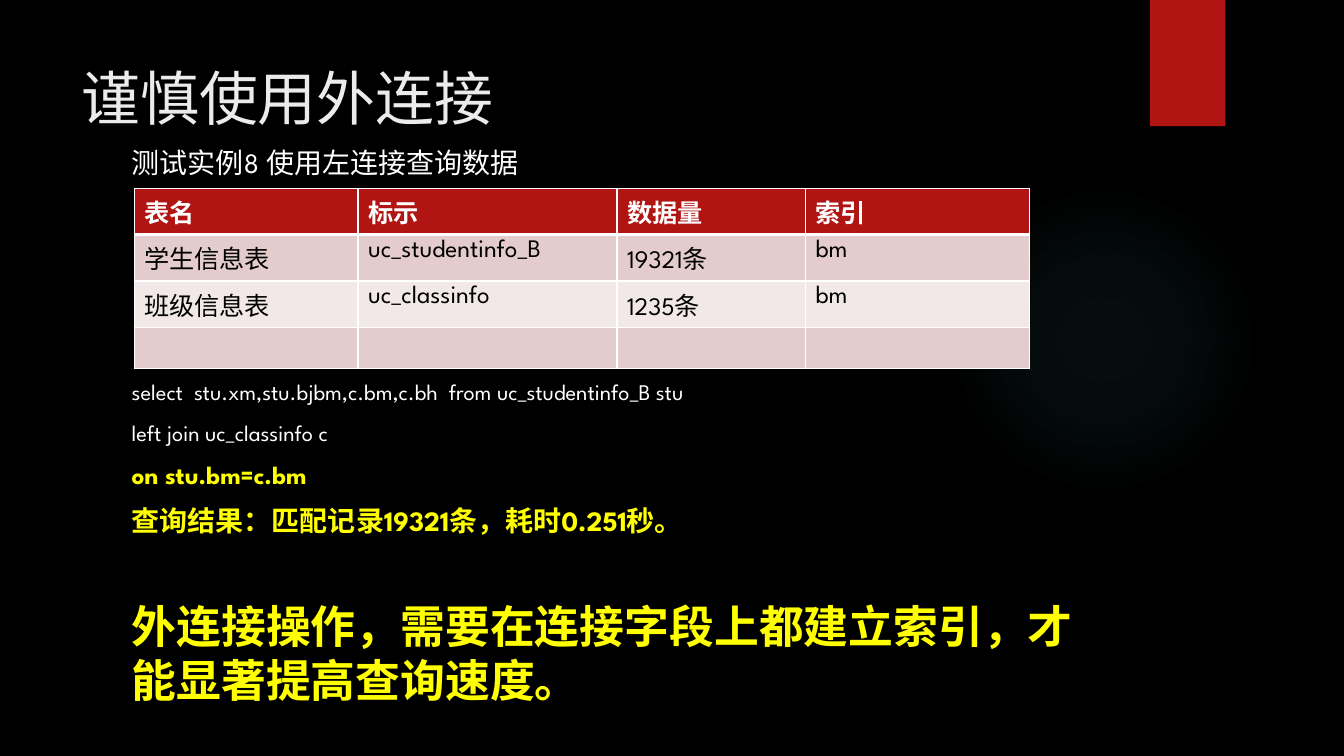
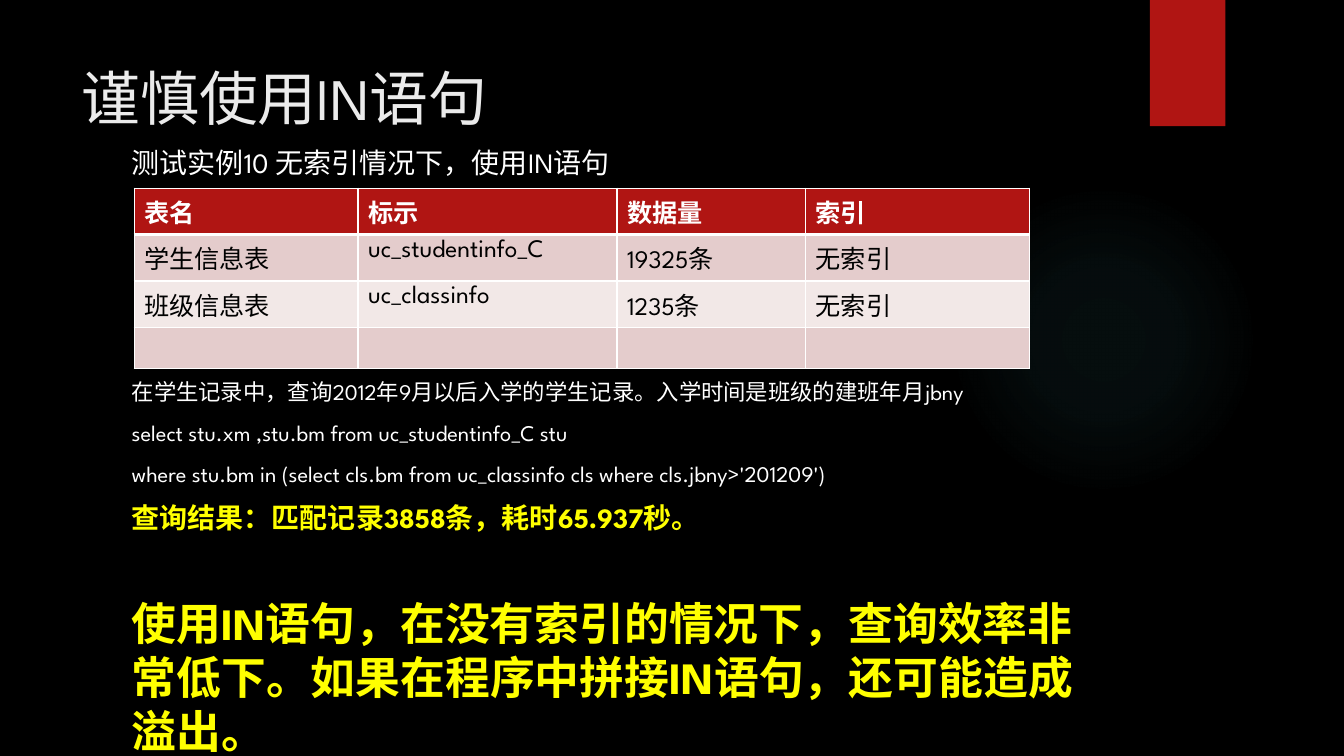
import pptx
import pptx.dml.color
import pptx.enum.shapes
import pptx.enum.text
import pptx.oxml
import pptx.oxml.ns
import pptx.util

Cm = pptx.util.Cm
Pt = pptx.util.Pt
FONT = "League Spartan"
BLACK, WHITE, RED, YELLOW = "000000", "FFFFFF", "B01513", "FFFF00"
TITLE, GLOW = "EBEBEB", "50B9C1"
BANDS = ["E4CCCC", "F2E8E7"]
COLUMNS = [5.64, 6.53, 4.75, 5.64]
ROWS = [1.17, 1.17, 1.17, 1.04]
HEADER = ["表名", "标示", "数据量", "索引"]
CODE = {"size": 16, "color": WHITE}
CONDITION = {"size": 18, "color": YELLOW, "bold": True}
RESULT = {"size": 20, "color": YELLOW, "bold": True}
CONCLUSION = {"size": 32, "color": YELLOW, "bold": True, "before": 44}

SLIDES = [
    {
        "title": "谨慎使用外连接",
        "caption": "测试实例8 使用左连接查询数据",
        "rows": [
            ["学生信息表", "uc_studentinfo_B", "19321条", "bm"],
            ["班级信息表", "uc_classinfo", "1235条", "bm"],
        ],
        "lines": [
            ("select  stu.xm,stu.bjbm,c.bm,c.bh  from uc_studentinfo_B stu", CODE),
            ("left join uc_classinfo c", CODE),
            ("on stu.bm=c.bm", CONDITION),
            ("查询结果：匹配记录19321条，耗时0.251秒。", RESULT),
            ("外连接操作，需要在连接字段上都建立索引，才能显著提高查询速度。", CONCLUSION),
        ],
    },
    {
        "title": "谨慎使用IN语句",
        "caption": "测试实例10 无索引情况下，使用IN语句",
        "rows": [
            ["学生信息表", "uc_studentinfo_C", "19325条", "无索引"],
            ["班级信息表", "uc_classinfo", "1235条", "无索引"],
        ],
        "lines": [
            ("在学生记录中，查询2012年9月以后入学的学生记录。入学时间是班级的建班年月jbny", CODE),
            ("select stu.xm ,stu.bm from uc_studentinfo_C stu", CODE),
            ("where stu.bm in (select cls.bm from uc_classinfo cls where cls.jbny>'201209')", CODE),
            ("查询结果：匹配记录3858条，耗时65.937秒。", RESULT),
            (
                "使用IN语句，在没有索引的情况下，查询效率非常低下。如果在程序中拼接IN语句，还可能造成溢出。",
                CONCLUSION,
            ),
        ],
    },
]


def rgb(value):
    """Turn a hex string into a colour."""
    return pptx.dml.color.RGBColor.from_string(value)


def a_xml(tag, content):
    """Parse a drawing element with the a: namespace declared."""
    return pptx.oxml.parse_xml(f"<a:{tag} {pptx.oxml.ns.nsdecls('a')} {content}</a:{tag.split()[0]}>")


def write(para, text, size, color, bold=False):
    """Add one formatted run to a paragraph."""
    span = para.add_run()
    span.text = text
    for name, value in {"name": FONT, "size": Pt(size), "bold": bold}.items():
        setattr(span.font, name, value)
    span.font.color.rgb = rgb(color)


def add_title(page, text):
    """Place and format the title placeholder."""
    box = page.shapes.title
    place = {"left": Cm(1.8), "top": Cm(1.27), "width": Cm(26.14), "height": Cm(3.89)}
    for name, value in place.items():
        setattr(box, name, value)
    frame = box.text_frame
    frame.vertical_anchor = pptx.enum.text.MSO_ANCHOR.TOP
    frame.auto_size = pptx.enum.text.MSO_AUTO_SIZE.NONE
    para = frame.paragraphs[0]
    para.alignment = pptx.enum.text.PP_ALIGN.LEFT
    para.line_spacing = Pt(55)
    write(para, text, 42, TITLE)


def add_text(page, top, height, lines):
    """Add a text box with one paragraph for each styled line."""
    box = page.shapes.add_textbox(Cm(3.07), Cm(top), Cm(24.84), Cm(height))
    frame = box.text_frame
    frame.word_wrap = True
    for index, (text, style) in enumerate(lines):
        para = frame.add_paragraph() if index else frame.paragraphs[0]
        para.space_before = Pt(style.get("before", 10) if index else 0)
        para.line_spacing = Pt(round(style["size"] * 1.2, 1))
        write(para, text, style["size"], style["color"], style.get("bold", False))


def add_plain_shape(page, kind, left, top, width, height, color):
    """Add a filled shape with neither outline nor shadow."""
    shape = page.shapes.add_shape(kind, Cm(left), Cm(top), Cm(width), Cm(height))
    shape.shadow.inherit = False
    shape.line.fill.background()
    shape.fill.solid()
    shape.fill.fore_color.rgb = rgb(color)
    return shape


def add_decoration(page):
    """Draw the black background, the faint glow and the red tab."""
    page.background.fill.solid()
    page.background.fill.fore_color.rgb = rgb(BLACK)
    kinds = pptx.enum.shapes.MSO_SHAPE
    glow = add_plain_shape(page, kinds.OVAL, 23.9, 4.65, 7.82, 7.82, GLOW)
    stops = "".join(
        f'<a:gs pos="{place * 1000}"><a:srgbClr val="{GLOW}"><a:alpha val="{alpha * 1000}"/></a:srgbClr></a:gs>'
        for place, alpha in [(0, 7), (36, 6), (69, 0), (100, 0)]
    )
    center = '<a:fillToRect l="50000" t="50000" r="50000" b="50000"/>'
    gradient = a_xml("gradFill", f'><a:gsLst>{stops}</a:gsLst><a:path path="circle">{center}</a:path>')
    properties = glow.element.spPr
    properties.replace(properties.find(pptx.oxml.ns.qn("a:solidFill")), gradient)
    add_plain_shape(page, kinds.RECTANGLE, 28.98, 0, 1.9, 3.18, RED)


def set_borders(cell, row):
    """Give a cell white borders, thick between header and body."""
    widths = {"lnL": 1, "lnR": 1, "lnT": 3 if row == 1 else 1, "lnB": 3 if row == 0 else 1}
    properties = cell._tc.get_or_add_tcPr()
    for index, (side, width) in enumerate(widths.items()):
        fill = f'<a:solidFill><a:srgbClr val="{WHITE}"/></a:solidFill>'
        properties.insert(index, a_xml(side, f'w="{Pt(width)}">{fill}'))


def add_data_table(page, rows):
    """Add the table of tested tables, ending in an empty row."""
    contents = [HEADER, *rows, [""] * len(HEADER)]
    frame = page.shapes.add_table(
        len(ROWS), len(COLUMNS), Cm(3.38), Cm(4.74), Cm(sum(COLUMNS)), Cm(sum(ROWS))
    )
    table = frame.table
    for column, width in zip(table.columns, COLUMNS):
        column.width = Cm(width)
    for index, (row, height, texts) in enumerate(zip(table.rows, ROWS, contents)):
        row.height = Cm(height)
        header = index == 0
        for cell, text in zip(row.cells, texts):
            cell.fill.solid()
            cell.fill.fore_color.rgb = rgb(RED if header else BANDS[(index - 1) % 2])
            set_borders(cell, index)
            if text:
                write(cell.text_frame.paragraphs[0], text, 18, WHITE if header else BLACK, header)


def main():
    """Build and save the deck."""
    deck = pptx.Presentation()
    deck.slide_width, deck.slide_height = Cm(33.87), Cm(19.05)
    for content in SLIDES:
        page = deck.slides.add_slide(deck.slide_layouts[5])
        add_decoration(page)
        add_title(page, content["title"])
        add_text(page, 3.53, 1.2, [(content["caption"], {"size": 20, "color": WHITE})])
        add_text(page, 9.4, 8.96, content["lines"])
        add_data_table(page, content["rows"])
    deck.save("out.pptx")


if __name__ == "__main__":
    main()
